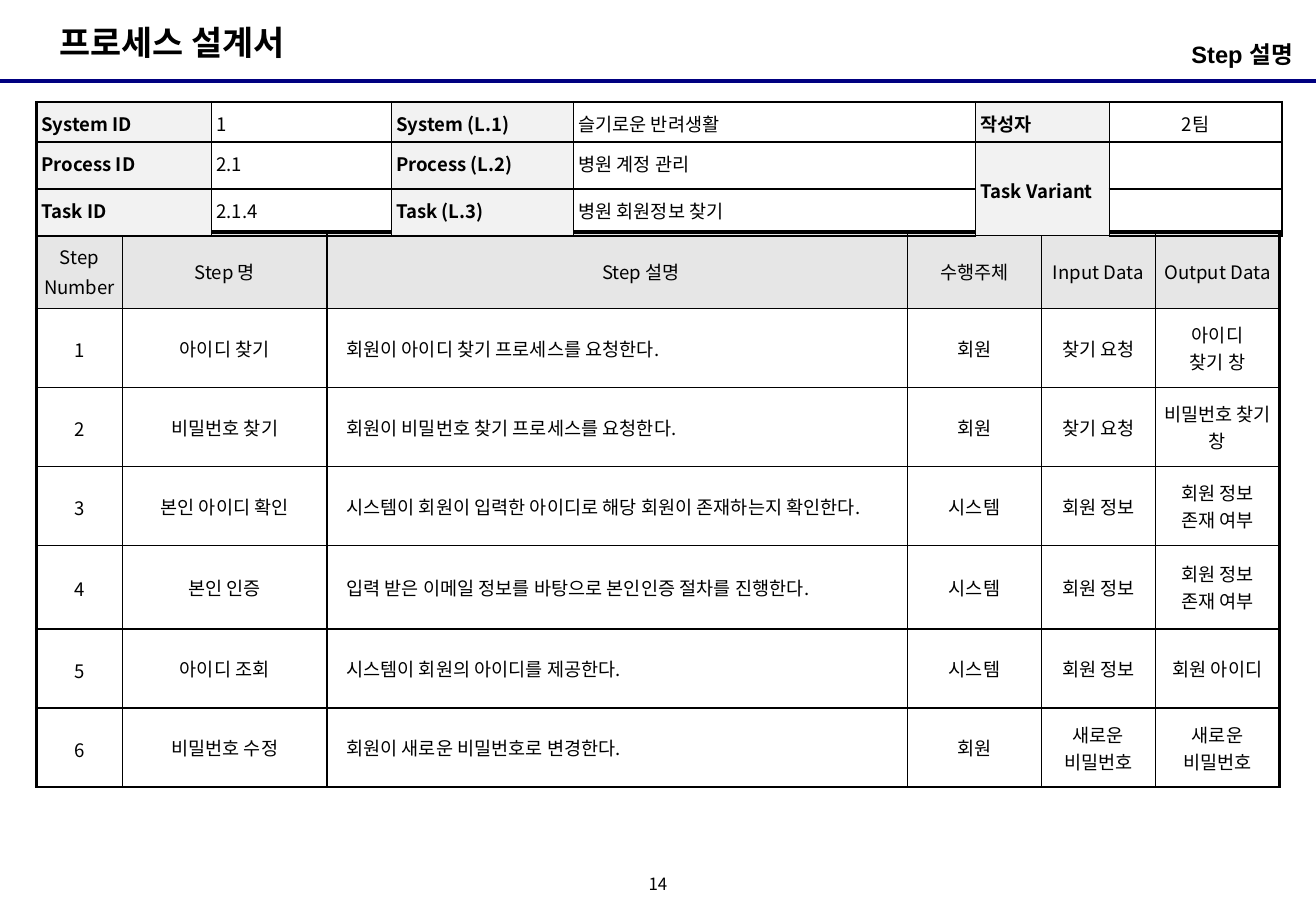
from lxml import etree
from pptx import Presentation
from pptx.dml.color import RGBColor
from pptx.enum.shapes import MSO_CONNECTOR as Connector
from pptx.enum.text import MSO_ANCHOR as Anchor, MSO_AUTO_SIZE as AutoSize, PP_ALIGN as Align
from pptx.oxml.ns import qn
from pptx.util import Inches, Pt

SLIDE_W, SLIDE_H = 10.83, 7.5
KOREAN = "Noto Sans CJK KR"
BLACK, NAVY, LABEL_FILL, HEAD_FILL = "000000", "000080", "F2F2F2", "E6E6E6"

INFO_COLS = [1.44, 1.48, 1.5, 3.31, 1.1, 1.42]
INFO_ROWS = [0.33, 0.36, 0.36]
INFO = [
    ["System ID", "1", "System (L.1)", "슬기로운 반려생활", "작성자", "2팀"],
    ["Process ID", "2.1", "Process (L.2)", "병원 계정 관리", "Task Variant", ""],
    ["Task ID", "2.1.4", "Task (L.3)", "병원 회원정보 찾기", "", ""],
]
STEP_COLS = [0.71, 1.68, 4.78, 1.1, 0.94, 1.02]
STEP_ROWS = [0.63, 0.65, 0.65, 0.65, 0.69, 0.65, 0.65]
STEPS = [
    ["Step Number", "Step 명", "Step 설명", "수행주체", "Input Data", "Output Data"],
    ["1", "아이디 찾기", "회원이 아이디 찾기 프로세스를 요청한다.", "회원", "찾기 요청", "아이디\n찾기 창"],
    ["2", "비밀번호 찾기", "회원이 비밀번호 찾기 프로세스를 요청한다.", "회원", "찾기 요청", "비밀번호 찾기 창"],
    ["3", "본인 아이디 확인", "시스템이 회원이 입력한 아이디로 해당 회원이 존재하는지 확인한다.",
     "시스템", "회원 정보", "회원 정보 존재 여부"],
    ["4", "본인 인증", "입력 받은 이메일 정보를 바탕으로 본인인증 절차를 진행한다.",
     "시스템", "회원 정보", "회원 정보 존재 여부"],
    ["5", "아이디 조회", "시스템이 회원의 아이디를 제공한다.", "시스템", "회원 정보", "회원 아이디"],
    ["6", "비밀번호 수정", "회원이 새로운 비밀번호로 변경한다.", "회원", "새로운\n비밀번호", "새로운 비밀번호"],
]


def color(hex_text):
    return RGBColor.from_string(hex_text)


def set_margins(target, side, top):
    target.margin_left = target.margin_right = Inches(side)
    target.margin_top = target.margin_bottom = Inches(top)


def write(tf, text, size=11, font=KOREAN, bold=False, align=Align.LEFT, spacing=1.0, indent=0):
    tf.word_wrap = True
    for i, line in enumerate(text.split("\n")):
        p = tf.add_paragraph() if i else tf.paragraphs[0]
        pPr = p._p.get_or_add_pPr()
        pPr.set("marL", str(Inches(indent)))
        pPr.set("indent", "0")
        etree.SubElement(pPr, qn("a:buNone"))
        p.alignment, p.line_spacing = align, spacing
        p.space_before = p.space_after = Pt(0)
        r = p.add_run()
        r.text = line
        r.font.size, r.font.bold, r.font.name = Pt(size), bold, font
        r.font.color.rgb = color(BLACK)
        etree.SubElement(r._r.get_or_add_rPr(), qn("a:ea")).set("typeface", KOREAN)


def set_borders(cell, **widths):
    tcPr = cell._tc.get_or_add_tcPr()
    for side in "LRTB":
        ln = etree.SubElement(tcPr, qn(f"a:ln{side}"), w=str(Pt(widths[side])))
        fill = etree.SubElement(ln, qn("a:solidFill"))
        etree.SubElement(fill, qn("a:srgbClr"), val=BLACK)


def place(sp, left, top, width, height):
    sp.left, sp.top, sp.width, sp.height = map(Inches, (left, top, width, height))


def add_grid(s, left, top, cols, rows):
    frame = s.shapes.add_table(len(rows), len(cols), Inches(left), Inches(top),
                               Inches(sum(cols)), Inches(sum(rows)))
    table = frame.table
    table.first_row = table.horz_banding = False
    for column, width in zip(table.columns, cols):
        column.width = Inches(width)
    for row, height in zip(table.rows, rows):
        row.height = Inches(height)
    return table


def set_fill(cell, hex_text):
    if hex_text:
        cell.fill.solid()
        cell.fill.fore_color.rgb = color(hex_text)
    else:
        cell.fill.background()


def add_header(s, left, top, width, height):
    # Rule under the heading
    rule = s.shapes.add_connector(Connector.STRAIGHT, Inches(left), Inches(top + height),
                                  Inches(left + width), Inches(top + height))
    rule.line.color.rgb, rule.line.width = color(NAVY), Pt(2.25)
    etree.SubElement(rule._element.spPr, qn("a:effectLst"))
    # Document title and section name
    title, section = s.shapes.title, s.placeholders[1]
    place(title, left + 0.39, top + 0.13, 2.25, 0.44)
    place(section, left + width - 3.44, top + height - 0.39, 3.31, 0.39)
    for sp, text, size, align in ((title, "프로세스 설계서", 20, Align.LEFT),
                                  (section, "Step 설명", 14, Align.RIGHT)):
        tf = sp.text_frame
        tf.auto_size, tf.vertical_anchor = AutoSize.NONE, Anchor.TOP
        set_margins(tf, 0.1 if sp is title else 0.06, 0.05)
        write(tf, text, size=size, font="Arial", bold=True, align=align)


def add_info_table(s, left, top):
    table = add_grid(s, left, top, INFO_COLS, INFO_ROWS)
    last_row, last_col = len(INFO_ROWS) - 1, len(INFO_COLS) - 1
    for i, texts in enumerate(INFO):
        for j, text in enumerate(texts):
            cell, is_label = table.cell(i, j), j % 2 == 0
            set_margins(cell, 0.04, 0.04)
            set_borders(cell, L=1 if j else 1.5, R=1.5 if j == last_col else 1,
                        T=1 if i else 1.5, B=1.5 if i == last_row else 1)
            set_fill(cell, LABEL_FILL if is_label else None)
            cell.vertical_anchor = Anchor.MIDDLE if j >= 4 else Anchor.TOP
            if text:
                write(cell.text_frame, text, bold=is_label, spacing=1.1,
                      align=Align.CENTER if j == last_col else Align.LEFT)
    table.cell(1, 4).merge(table.cell(2, 4))


def add_step_table(s, left, top):
    table = add_grid(s, left, top, STEP_COLS, STEP_ROWS)
    last_col, description = len(STEP_COLS) - 1, 2
    for i, texts in enumerate(STEPS):
        for j, text in enumerate(texts):
            cell, is_head = table.cell(i, j), i == 0
            set_margins(cell, 0.06, 0.04)
            set_borders(cell, L=1 if j else 2.25, R=2.25 if j == last_col else 1,
                        T=2.25 if is_head else 1, B=1)
            set_fill(cell, HEAD_FILL if is_head else None)
            cell.vertical_anchor = Anchor.MIDDLE
            indent = (0.39 if is_head else 0.1) if j == description else 0
            write(cell.text_frame, text, indent=indent,
                  spacing=1.1 if is_head or j == 0 else 1.0,
                  align=Align.LEFT if j == description and not is_head else Align.CENTER)


def add_page_number(s, left, top, width, height):
    tf = s.shapes.add_textbox(*map(Inches, (left, top, width, height))).text_frame
    set_margins(tf, 0, 0)
    tf.vertical_anchor = Anchor.MIDDLE
    write(tf, "14", size=10, align=Align.CENTER, spacing=0.8)


def main():
    prs = Presentation()
    prs.slide_width, prs.slide_height = Inches(SLIDE_W), Inches(SLIDE_H)
    s = prs.slides.add_slide(prs.slide_layouts[1])
    add_header(s, 0, 0, SLIDE_W, 0.67)
    add_step_table(s, 0.3, 1.91)
    add_info_table(s, 0.3, 0.84)
    add_page_number(s, 5.25, 7.17, 0.33, 0.25)
    prs.save("out.pptx")


if __name__ == "__main__":
    main()
